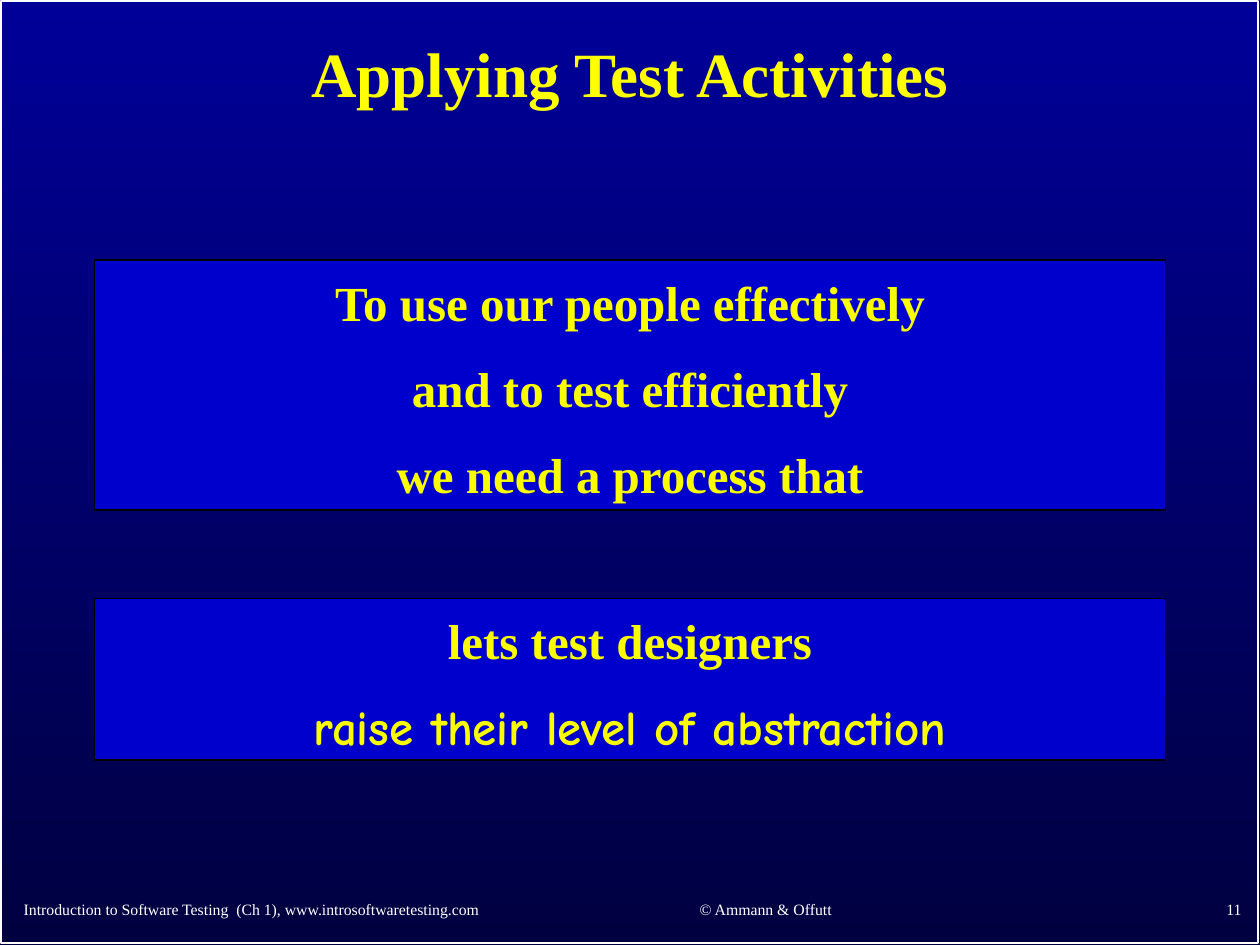
from dataclasses import dataclass

from pptx import Presentation
from pptx.dml.color import RGBColor
from pptx.enum.shapes import MSO_SHAPE
from pptx.enum.text import MSO_ANCHOR, PP_ALIGN
from pptx.util import Pt

RECTANGLE = MSO_SHAPE.RECTANGLE
TOP, MIDDLE = MSO_ANCHOR.TOP, MSO_ANCHOR.MIDDLE
LEFT, CENTER, RIGHT = PP_ALIGN.LEFT, PP_ALIGN.CENTER, PP_ALIGN.RIGHT

SERIF, HAND = "Times New Roman", "Comic Neue"
WHITE, BLACK, YELLOW = "FFFFFF", "000000", "FFFF00"
PANEL_BLUE, PANEL_YELLOW = "0000CC", "FAFD00"
BACKGROUND = ("000099", "000040")


@dataclass(frozen=True)
class Line:
    text: str
    font: str = SERIF


@dataclass(frozen=True)
class Panel:
    top: float
    height: float
    lines: tuple[Line, ...]


@dataclass(frozen=True)
class Footer:
    text: str
    left: float
    top: float
    width: float
    height: float
    align: PP_ALIGN


PANELS = (
    Panel(148.5, 143, (
        Line("To use our people effectively"),
        Line("and to test efficiently"),
        Line("we need a process that"),
    )),
    Panel(342, 92.5, (
        Line("lets test designers"),
        Line("raise their level of abstraction", HAND),
    )),
)

FOOTERS = (
    Footer("Introduction to Software Testing  (Ch 1), www.introsoftwaretesting.com",
           6.5, 506, 302.5, 27.5, LEFT),
    Footer("© Ammann & Offutt", 323.5, 505.5, 228, 28, CENTER),
    Footer("11", 566.5, 505, 150, 29, RIGHT),
)


def color(value: str) -> RGBColor:
    return RGBColor.from_string(value)


def format_paragraph(para, align: PP_ALIGN, size: float, tint: str,
                     bold: bool = False, font: str = SERIF) -> None:
    para.alignment = align
    for span in para.runs:
        span.font.name = font
        span.font.size = Pt(size)
        span.font.bold = bold
        span.font.color.rgb = color(tint)


def add_rectangle(page, left: float, top: float, width: float, height: float,
                  outline: str):
    box = page.shapes.add_shape(RECTANGLE, Pt(left), Pt(top), Pt(width), Pt(height))
    box.shadow.inherit = False
    box.fill.background()
    box.line.color.rgb = color(outline)
    box.line.width = Pt(1)
    return box


def add_panel(page, panel: Panel) -> None:
    box = add_rectangle(page, 54, panel.top, 612, panel.height, BLACK)
    box.fill.solid()
    box.fill.fore_color.rgb = color(PANEL_BLUE)
    frame = box.text_frame
    frame.word_wrap = True
    frame.vertical_anchor = TOP
    frame.margin_top = Pt(7)
    frame.text = "\n".join(line.text for line in panel.lines)
    for index, (para, line) in enumerate(zip(frame.paragraphs, panel.lines)):
        format_paragraph(para, CENTER, 28, PANEL_YELLOW, True, line.font)
        if index:
            para.space_before = Pt(15.5)


def add_footer(page, footer: Footer) -> None:
    box = page.shapes.add_textbox(Pt(footer.left), Pt(footer.top),
                                  Pt(footer.width), Pt(footer.height))
    frame = box.text_frame
    frame.word_wrap = True
    frame.vertical_anchor = MIDDLE
    frame.text = footer.text
    format_paragraph(frame.paragraphs[0], footer.align, 9, WHITE)


def set_title(page, text: str) -> None:
    title = page.shapes.title
    title.left, title.top = Pt(7), Pt(8)
    title.width, title.height = Pt(706), Pt(72)
    frame = title.text_frame
    frame.text = text
    frame.vertical_anchor = MIDDLE
    para = frame.paragraphs[0]
    para.line_spacing = 0.9
    format_paragraph(para, CENTER, 36, YELLOW, True)


def set_background(page) -> None:
    fill = page.background.fill
    fill.gradient()
    fill.gradient_angle = 270
    for stop, value in zip(fill.gradient_stops, BACKGROUND):
        stop.color.rgb = color(value)


def main() -> None:
    deck = Presentation()
    deck.slide_width, deck.slide_height = Pt(720), Pt(540)
    page = deck.slides.add_slide(deck.slide_layouts[5])
    set_background(page)
    add_rectangle(page, 0.75, 0.75, 718, 538, WHITE)
    set_title(page, "Applying Test Activities")
    for footer in FOOTERS:
        add_footer(page, footer)
    for panel in PANELS:
        add_panel(page, panel)
    deck.save("out.pptx")


if __name__ == "__main__":
    main()
